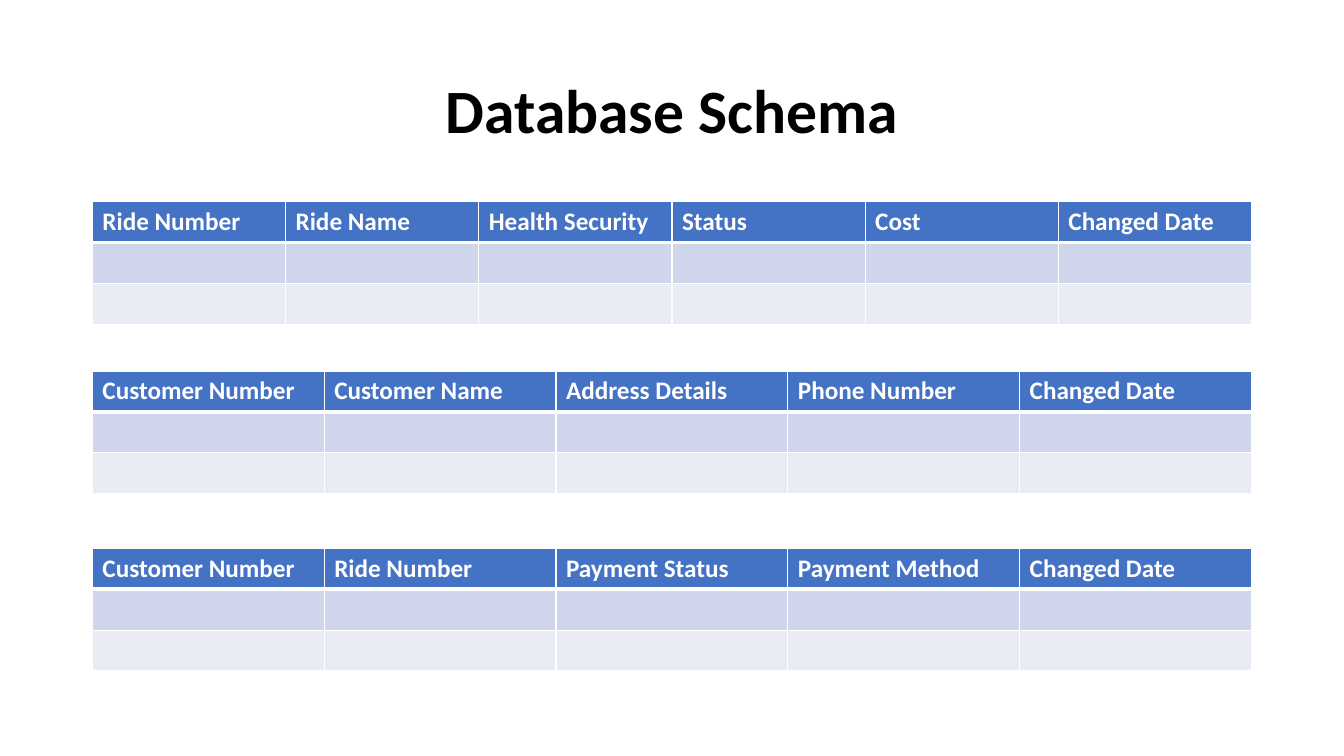
"""Build the database schema slide with its three table outlines."""
from dataclasses import dataclass

import lxml.etree
import pptx
import pptx.dml.color
import pptx.enum.text
import pptx.oxml.ns
import pptx.slide
import pptx.table
import pptx.text.text
import pptx.util

BLACK = pptx.dml.color.RGBColor(0x00, 0x00, 0x00)
WHITE = pptx.dml.color.RGBColor(0xFF, 0xFF, 0xFF)
HEADER_BLUE = pptx.dml.color.RGBColor(0x44, 0x72, 0xC4)
DARK_BAND = pptx.dml.color.RGBColor(0xCF, 0xD5, 0xEA)
LIGHT_BAND = pptx.dml.color.RGBColor(0xE9, 0xEB, 0xF5)
ROW_FILLS = (HEADER_BLUE, DARK_BAND, LIGHT_BAND)

FONT = "Calibri"
SLIDE_WIDTH = pptx.util.Inches(13.333)
SLIDE_HEIGHT = pptx.util.Inches(7.5)
GRID_COLUMNS, GRID_ROWS = 160, 90
LEFT, WIDTH = 11, 138
TITLE_TOP, TITLE_HEIGHT = 4.8, 17.4
ROW_HEIGHT = 4.87
THIN, THICK = 1, 3


@dataclass(frozen=True)
class Schema:
    top: float
    fields: tuple[str, ...]


SCHEMAS = (
    Schema(24, ("Ride Number", "Ride Name", "Health Security", "Status", "Cost", "Changed Date")),
    Schema(44.16, ("Customer Number", "Customer Name", "Address Details", "Phone Number", "Changed Date")),
    Schema(65.28, ("Customer Number", "Ride Number", "Payment Status", "Payment Method", "Changed Date")),
)


def across(columns: float) -> pptx.util.Emu:
    return pptx.util.Emu(round(SLIDE_WIDTH * columns / GRID_COLUMNS))


def down(rows: float) -> pptx.util.Emu:
    return pptx.util.Emu(round(SLIDE_HEIGHT * rows / GRID_ROWS))


def style_text(p: pptx.text.text._Paragraph, size: int, color: pptx.dml.color.RGBColor) -> None:
    for r in p.runs:
        r.font.name = FONT
        r.font.size = pptx.util.Pt(size)
        r.font.bold = True
        r.font.color.rgb = color


def add_borders(cell: pptx.table._Cell, top: int, bottom: int) -> None:
    qn = pptx.oxml.ns.qn
    tc_pr = cell._tc.get_or_add_tcPr()
    for side, points in (("L", THIN), ("R", THIN), ("T", top), ("B", bottom)):
        ln = lxml.etree.SubElement(tc_pr, qn(f"a:ln{side}"), w=str(pptx.util.Pt(points)))
        fill = lxml.etree.SubElement(ln, qn("a:solidFill"))
        lxml.etree.SubElement(fill, qn("a:srgbClr"), val=str(WHITE))


def add_title(s: pptx.slide.Slide, text: str) -> None:
    sp = s.shapes.add_textbox(across(LEFT), down(TITLE_TOP), across(WIDTH), down(TITLE_HEIGHT))
    tf = sp.text_frame
    tf.word_wrap = True
    tf.vertical_anchor = pptx.enum.text.MSO_ANCHOR.MIDDLE
    tf.text = text
    p = tf.paragraphs[0]
    p.alignment = pptx.enum.text.PP_ALIGN.CENTER
    p.line_spacing = 0.9
    style_text(p, 44, BLACK)


def add_schema(s: pptx.slide.Slide, schema: Schema) -> None:
    rows, columns = len(ROW_FILLS), len(schema.fields)
    table = s.shapes.add_table(
        rows, columns, across(LEFT), down(schema.top), across(WIDTH), down(ROW_HEIGHT * rows)
    ).table
    for column in table.columns:
        column.width = across(WIDTH / columns)
    for i, color in enumerate(ROW_FILLS):
        table.rows[i].height = down(ROW_HEIGHT)
        for cell in table.rows[i].cells:
            add_borders(cell, THICK if i == 1 else THIN, THICK if i == 0 else THIN)
            cell.fill.solid()
            cell.fill.fore_color.rgb = color
    for cell, field in zip(table.rows[0].cells, schema.fields):
        cell.text_frame.text = field
        style_text(cell.text_frame.paragraphs[0], 18, WHITE)


def main() -> None:
    prs = pptx.Presentation()
    prs.slide_width, prs.slide_height = SLIDE_WIDTH, SLIDE_HEIGHT
    s = prs.slides.add_slide(prs.slide_layouts[6])
    add_title(s, "Database Schema")
    for schema in SCHEMAS:
        add_schema(s, schema)
    prs.save("out.pptx")


if __name__ == "__main__":
    main()
